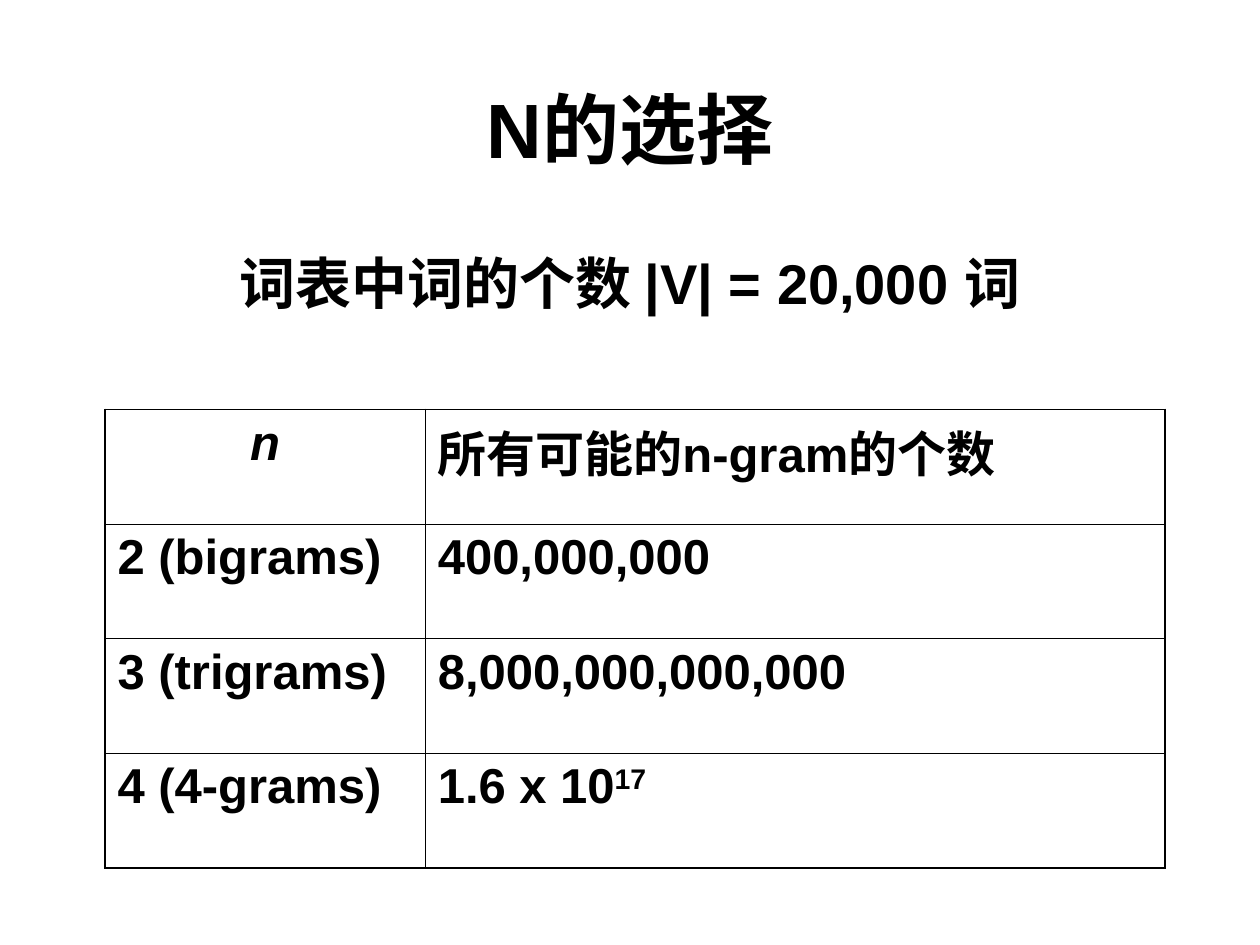
from lxml import etree
from pptx import Presentation
from pptx import util as u
from pptx.dml.color import RGBColor
from pptx.enum import text
from pptx.oxml.ns import qn

BLACK = RGBColor(0x00, 0x00, 0x00)
FONT = "Arial"
OUTER, INNER = 1.08, 0.45


def add_run(p, content, size, italic=False):
    r = p.add_run()
    r.text = content
    f = r.font
    f.name, f.size, f.bold, f.italic = FONT, u.Pt(size), True, italic
    f.color.rgb = BLACK
    return r


def add_border(tc_pr, index, side, width):
    ln = etree.Element(qn(f"a:ln{side}"), w=str(int(u.Pt(width))))
    fill = etree.SubElement(ln, qn("a:solidFill"))
    etree.SubElement(fill, qn("a:srgbClr"), val=str(BLACK))
    tc_pr.insert(index, ln)


prs = Presentation()
prs.slide_width, prs.slide_height = u.Pt(720), u.Pt(540)
s = prs.slides.add_slide(prs.slide_layouts[6])

# Title and vocabulary size
sp = s.shapes.add_textbox(u.Pt(54), u.Pt(38), u.Pt(612), u.Pt(151))
tf = sp.text_frame
tf.word_wrap = True
tf.vertical_anchor = text.MSO_ANCHOR.MIDDLE
p = tf.paragraphs[0]
p.alignment = text.PP_ALIGN.CENTER
add_run(p, "N的选择", 44)
p = tf.add_paragraph()
p.alignment = text.PP_ALIGN.CENTER
p.space_before = u.Pt(43)
add_run(p, "词表中词的个数 |V| = 20,000 词", 32)

# Table of n-gram counts; a third item is a superscript
rows = [
    ("n", "所有可能的n-gram的个数"),
    ("2 (bigrams)", "400,000,000"),
    ("3 (trigrams)", "8,000,000,000,000"),
    ("4 (4-grams)", "1.6 x 10", "17"),
]
col_widths = (183, 422.8)
row_height = 65.5
last_row, last_col = len(rows) - 1, len(col_widths) - 1
table = s.shapes.add_table(len(rows), len(col_widths), u.Pt(60), u.Pt(234),
                           u.Pt(sum(col_widths)), u.Pt(row_height * len(rows))).table
table.first_row = table.horz_banding = False
for col, width in zip(table.columns, col_widths):
    col.width = u.Pt(width)

for i, (label, count, *power) in enumerate(rows):
    table.rows[i].height = u.Pt(row_height)
    for j, content in enumerate((label, count)):
        cell = table.cell(i, j)
        cell.fill.background()
        p = cell.text_frame.paragraphs[0]
        p.space_before = u.Pt(7)
        is_header_n = i == 0 and j == 0
        p.alignment = text.PP_ALIGN.CENTER if is_header_n else text.PP_ALIGN.LEFT
        add_run(p, content, 28, italic=is_header_n)
        if j == last_col:
            for exponent in power:
                r = add_run(p, exponent, 28)
                r.font._element.set("baseline", "30000")

        # Heavier lines around the table, hairlines inside
        on_edge = {"L": j == 0, "R": j == last_col, "T": i == 0, "B": i == last_row}
        tc_pr = cell._tc.get_or_add_tcPr()
        for k, (side, edge) in enumerate(on_edge.items()):
            add_border(tc_pr, k, side, OUTER if edge else INNER)

prs.save("out.pptx")
